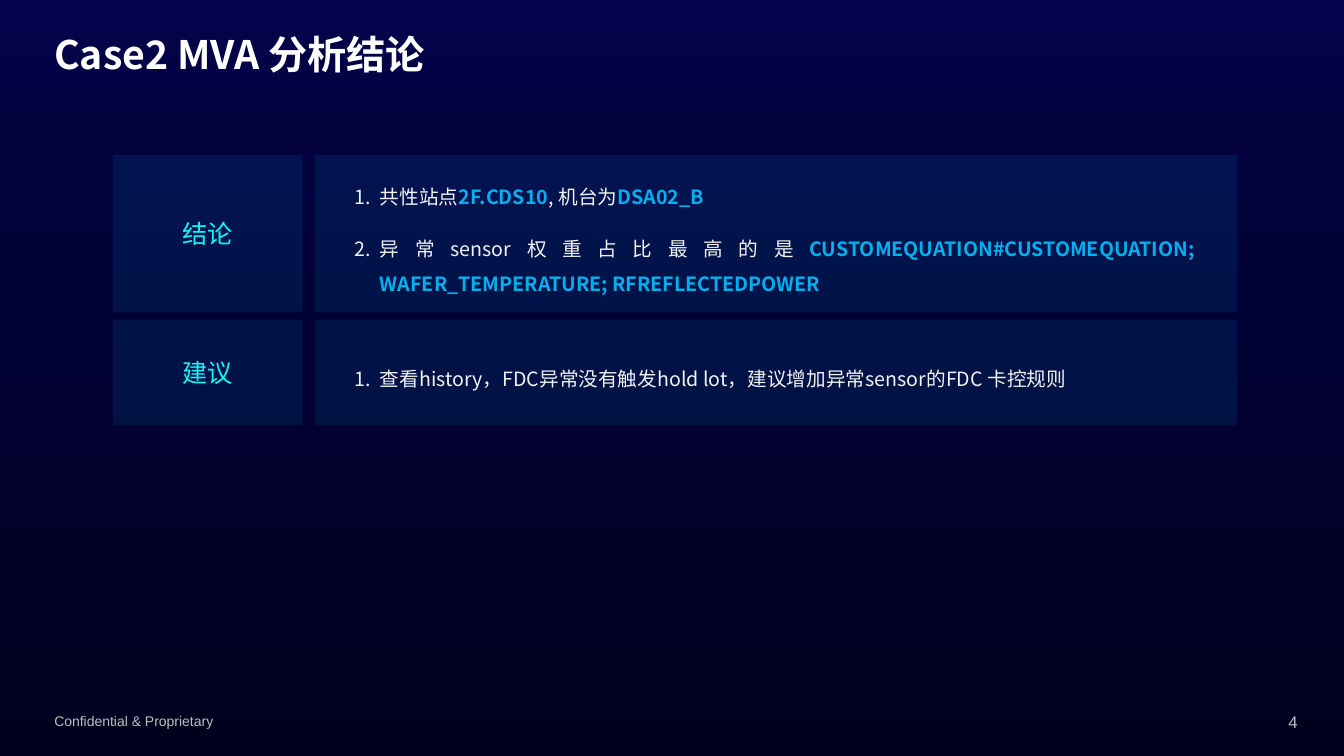
from lxml import etree
from pptx import Presentation
from pptx.dml.color import RGBColor
from pptx.enum.shapes import MSO_SHAPE
from pptx.enum.text import MSO_ANCHOR, PP_ALIGN
from pptx.oxml import parse_xml
from pptx.oxml.ns import nsdecls, qn
from pptx.util import Inches, Pt

RECT = MSO_SHAPE.RECTANGLE
TOP, MIDDLE = MSO_ANCHOR.TOP, MSO_ANCHOR.MIDDLE
LEFT, CENTER, RIGHT, JUSTIFY = PP_ALIGN.LEFT, PP_ALIGN.CENTER, PP_ALIGN.RIGHT, PP_ALIGN.JUSTIFY

COLORS = {"title": "FFFFFF", "body": "F2F2F2", "accent": "00B0F0",
          "label": "0EF6FB", "footer": "BFBFBF", "shadow": "000000"}
BACKGROUND = ((0, "04034F"), (16, "03023F"), (100, "00001E"))
SANS, FOOTER_FONT = "Noto Sans CJK SC", "Arial"

LABEL_X, LABEL_W = 1.12, 1.88
PANEL_X, PANEL_W = 3.12, 9.15
TEXT_X = 3.42

# Each row: label, top, height, text box (top, width, height), paragraphs of (text, is_key)
ROWS = (
    ("结论", 1.54, 1.56, (1.67, 8.53, 1.33), (
        (("共性站点", False), ("2F.CDS10", True), (", 机台为", False), ("DSA02_B", True)),
        (("异常sensor权重占比最高的是", False),
         ("CUSTOMEQUATION#CUSTOMEQUATION; WAFER_TEMPERATURE; RFREFLECTEDPOWER", True)),
    )),
    ("建议", 3.17, 1.05, (3.47, 8.74, 0.45), (
        (("查看history，FDC异常没有触发hold lot，建议增加异常sensor的FDC 卡控规则", False),),
    )),
)


def paint_background(s):
    stops = "".join(f'<a:gs pos="{pos * 1000}"><a:srgbClr val="{c}"/></a:gs>'
                    for pos, c in BACKGROUND)
    bg = parse_xml(f'<p:bg {nsdecls("p", "a")}><p:bgPr><a:gradFill rotWithShape="1">'
                   f'<a:gsLst>{stops}</a:gsLst><a:lin ang="5400000" scaled="0"/>'
                   '</a:gradFill><a:effectLst/></p:bgPr></p:bg>')
    s.element.cSld.insert(0, bg)


def style_run(r, size, color, font=SANS, bold=False):
    r.font.size, r.font.bold, r.font.name = Pt(size), bold, font
    r.font.color.rgb = RGBColor.from_string(COLORS[color])
    ea = etree.Element(qn("a:ea"), typeface=font)
    r.font._element.find(qn("a:latin")).addnext(ea)


def add_text(s, box, text, size, color, font=SANS, bold=False, align=LEFT, anchor=TOP):
    tf = s.shapes.add_textbox(*map(Inches, box)).text_frame
    tf.word_wrap, tf.vertical_anchor = True, anchor
    p = tf.paragraphs[0]
    p.text, p.alignment = text, align
    style_run(p.runs[0], size, color, font, bold)
    return p


def add_title(s, box):
    p = add_text(s, box, "Case2 MVA 分析结论", 28, "title", bold=True, anchor=MIDDLE)
    p.line_spacing = 0.9
    shadow = parse_xml(f'<a:effectLst {nsdecls("a")}><a:outerShdw blurRad="38100" dist="38100" '
                       f'dir="2700000"><a:srgbClr val="{COLORS["shadow"]}">'
                       '<a:alpha val="43000"/></a:srgbClr></a:outerShdw></a:effectLst>')
    p.runs[0].font._element.find(qn("a:solidFill")).addnext(shadow)


def add_panel(s, box):
    """Add a borderless rectangle filled with the accent colour at 10% opacity."""
    sp = s.shapes.add_shape(RECT, *map(Inches, box))
    sp.shadow.inherit = False
    sp.line.fill.background()
    sp.fill.solid()
    sp.fill.fore_color.rgb = RGBColor.from_string(COLORS["accent"])
    color = sp.element.spPr.find(qn("a:solidFill"))[0]
    etree.SubElement(color, qn("a:alpha"), val="10000")
    return sp


def add_numbered_list(s, box, items):
    tf = s.shapes.add_textbox(*map(Inches, box)).text_frame
    tf.word_wrap = True
    for i, parts in enumerate(items):
        p = tf.add_paragraph() if i else tf.paragraphs[0]
        p.alignment, p.line_spacing, p.space_after = JUSTIFY, 1.5, Pt(12)
        pPr = p._p.get_or_add_pPr()
        pPr.set("marL", str(Inches(0.25)))
        pPr.set("indent", str(-Inches(0.25)))
        etree.SubElement(pPr, qn("a:buFont"), typeface="+mj-lt")
        etree.SubElement(pPr, qn("a:buAutoNum"), type="arabicPeriod")
        for text, is_key in parts:
            r = p.add_run()
            r.text = text
            style_run(r, 14, "accent" if is_key else "body", bold=is_key)


def add_row(s, label, top, height, text_box, items):
    sp = add_panel(s, (LABEL_X, top, LABEL_W, height))
    tf = sp.text_frame
    tf.vertical_anchor = MIDDLE
    p = tf.paragraphs[0]
    p.text, p.alignment = label, CENTER
    style_run(p.runs[0], 18, "label")
    add_panel(s, (PANEL_X, top, PANEL_W, height))
    text_top, text_w, text_h = text_box
    add_numbered_list(s, (TEXT_X, text_top, text_w, text_h), items)


def add_footer(s):
    add_text(s, (0.44, 7.02, 4.5, 0.27), "Confidential & Proprietary", 10, "footer", FOOTER_FONT)
    add_text(s, (12.47, 7.01, 0.5, 0.3), "4", 12, "footer", FOOTER_FONT, align=RIGHT)


def main():
    prs = Presentation()
    prs.slide_width, prs.slide_height = Inches(13.33), Inches(7.5)
    s = prs.slides.add_slide(prs.slide_layouts[6])
    paint_background(s)
    add_footer(s)
    add_title(s, (0.44, 0.3, 10.08, 0.53))
    for row in ROWS:
        add_row(s, *row)
    prs.save("out.pptx")


if __name__ == "__main__":
    main()
